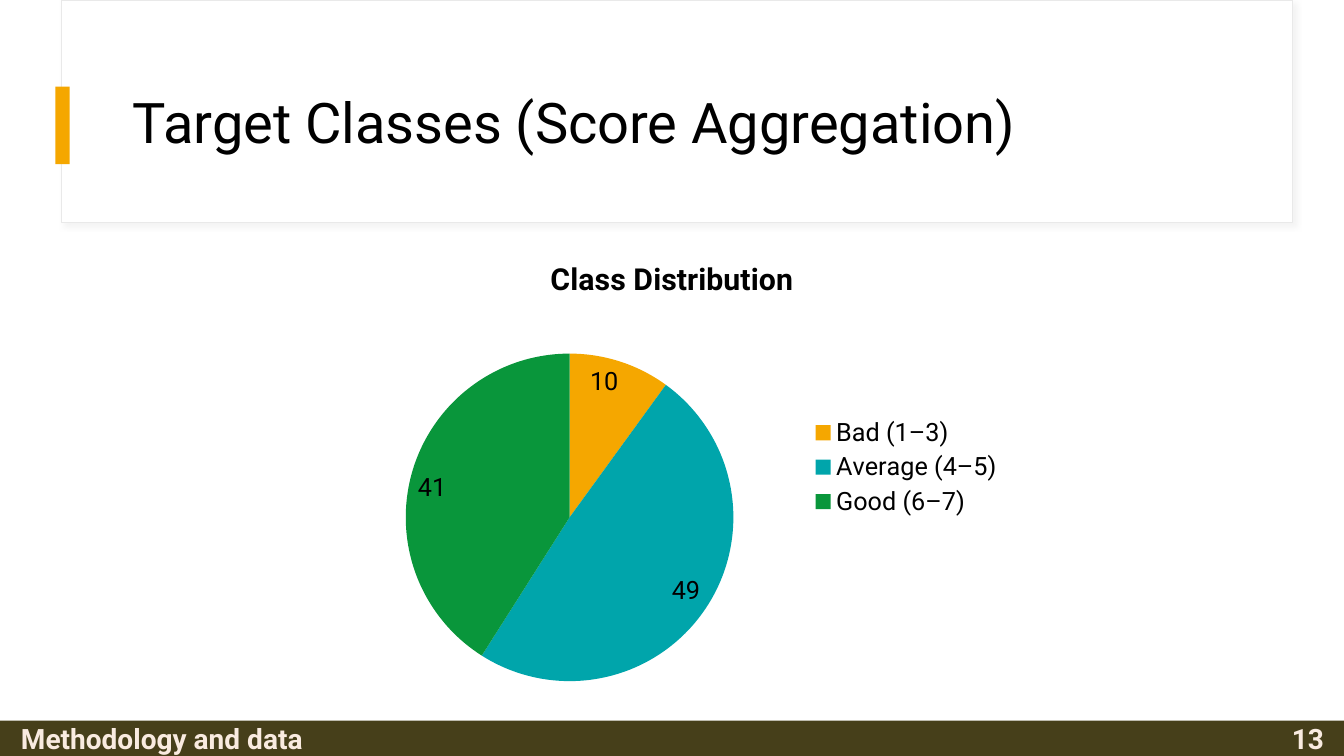
from lxml import etree
from pptx import Presentation
from pptx.chart.data import CategoryChartData
from pptx.dml.color import RGBColor
from pptx.enum.chart import XL_CHART_TYPE as ChartType
from pptx.enum.chart import XL_LABEL_POSITION as LabelPosition
from pptx.enum.chart import XL_LEGEND_POSITION as LegendPosition
from pptx.enum.shapes import MSO_SHAPE as Shape
from pptx.enum.text import MSO_ANCHOR as Anchor
from pptx.enum.text import PP_ALIGN as Align
from pptx.oxml import parse_xml
from pptx.oxml.ns import nsdecls, qn
from pptx.util import Inches, Pt

COLORS = {
    "white": "FFFFFF",
    "black": "000000",
    "frame": "E9E9E9",
    "shadow": "D9D9D9",
    "orange": "F5A700",
    "teal": "00A5AB",
    "green": "09963B",
    "footer": "463F1A",
    "cream": "F9EBE0",
}
FONT = "Roboto"


def add_text(text, box, size, color, bold=False, align=Align.LEFT, anchor=Anchor.TOP, spacing=1.0):
    shape = slide.shapes.add_textbox(*[Inches(value) for value in box])
    frame = shape.text_frame
    frame.word_wrap = True
    frame.vertical_anchor = anchor
    paragraph = frame.paragraphs[0]
    paragraph.alignment = align
    paragraph.line_spacing = spacing
    run = paragraph.add_run()
    run.text = text
    run.font.name = FONT
    run.font.size = Pt(size)
    run.font.bold = bold
    run.font.color.rgb = RGBColor.from_string(COLORS[color])


def add_block(box, fill):
    shape = slide.shapes.add_shape(Shape.RECTANGLE, *[Inches(value) for value in box])
    shape.shadow.inherit = False
    shape.fill.solid()
    shape.fill.fore_color.rgb = RGBColor.from_string(COLORS[fill])
    shape.line.fill.background()
    return shape


presentation = Presentation()
presentation.slide_width = Inches(13.33)
presentation.slide_height = Inches(7.5)
slide = presentation.slides.add_slide(presentation.slide_layouts[6])

header = add_block((0.61, 0, 12.21, 2.21), "white")
header.line.color.rgb = RGBColor.from_string(COLORS["frame"])
header.line.width = Pt(0.75)
effects = header._element.spPr.find(qn("a:effectLst"))
effects.append(parse_xml(
    f'<a:outerShdw {nsdecls("a")} blurRad="{Pt(4)}" dist="{Pt(3)}" dir="2700000" algn="tl" rotWithShape="0">'
    f'<a:srgbClr val="{COLORS["shadow"]}"><a:alpha val="30000"/></a:srgbClr></a:outerShdw>'
))
add_block((0.55, 0.86, 0.14, 0.77), "orange")
add_text("Target Classes (Score Aggregation)", (1.22, 0.6, 11.12, 1.29), 40, "black",
         anchor=Anchor.MIDDLE, spacing=0.9)

chart_data = CategoryChartData()
chart_data.categories = ["Bad (1–3)", "Average (4–5)", "Good (6–7)"]
chart_data.add_series("Class Distribution", (10, 49, 41))
chart = slide.shapes.add_chart(
    ChartType.PIE, Inches(3.28), Inches(2.37), Inches(6.77), Inches(4.53), chart_data
).chart
chart.font.name = FONT
chart.font.size = Pt(18)
chart.font.color.rgb = RGBColor.from_string(COLORS["black"])

chart.has_title = True
title_frame = chart.chart_title.text_frame
title_frame.text = "Class Distribution"
title_font = title_frame.paragraphs[0].runs[0].font
title_font.name = FONT
title_font.size = Pt(21.6)
title_font.bold = True
title_font.color.rgb = RGBColor.from_string(COLORS["black"])

chart.has_legend = True
chart.legend.position = LegendPosition.RIGHT
chart.legend.include_in_layout = False

plot = chart.plots[0]
plot.vary_by_categories = True
plot.has_data_labels = True
plot.data_labels.show_value = True
plot.data_labels.show_percentage = False
plot.data_labels.position = LabelPosition.INSIDE_END
for index, color in enumerate(("orange", "teal", "green")):
    fill = plot.series[0].points[index].format.fill
    fill.solid()
    fill.fore_color.rgb = RGBColor.from_string(COLORS[color])

plot_area = chart._chartSpace.chart.plotArea
for old_layout in plot_area.findall(qn("c:layout")):
    plot_area.remove(old_layout)
layout = parse_xml(f'<c:layout {nsdecls("c")}><c:manualLayout/></c:layout>')
settings = {"layoutTarget": "inner", "xMode": "edge", "yMode": "edge",
            "x": 0.11, "y": 0.25, "w": 0.48, "h": 0.72}
for name, value in settings.items():
    etree.SubElement(layout[0], qn(f"c:{name}")).set("val", str(value))
plot_area.insert(0, layout)

add_block((0, 7.15, 13.33, 0.35), "footer")
for text, left, align in (("Methodology and data", 0.11, Align.LEFT), ("13", 9.43, Align.RIGHT)):
    add_text(text, (left, 7.11, 3.8, 0.44), 20, "cream", bold=True, align=align)

presentation.save("out.pptx")
